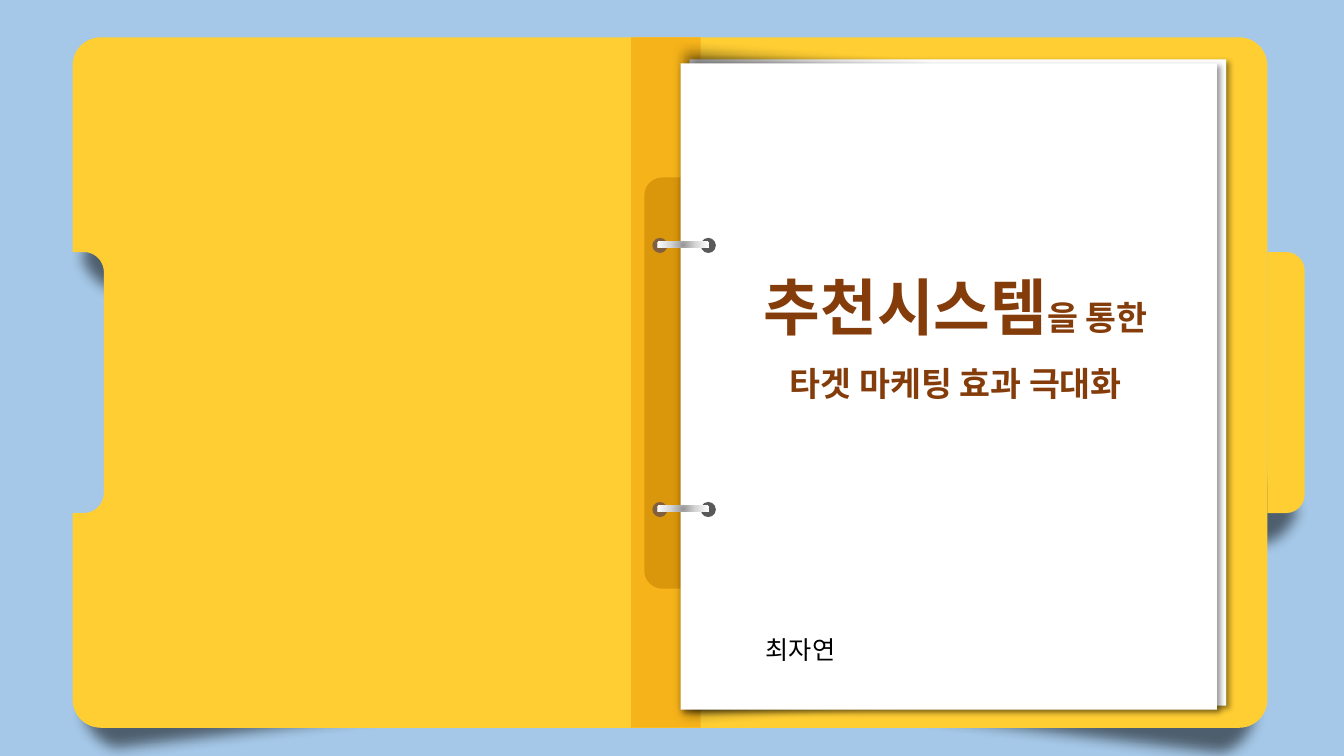
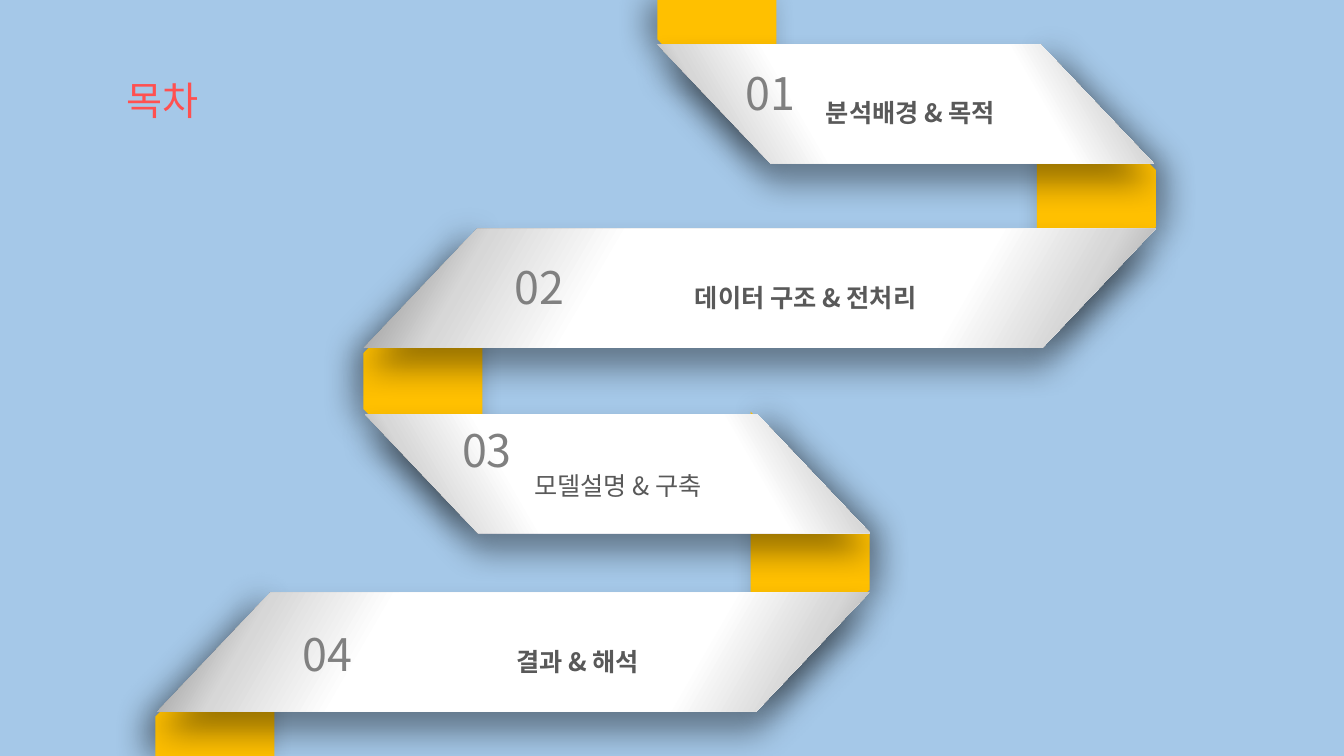
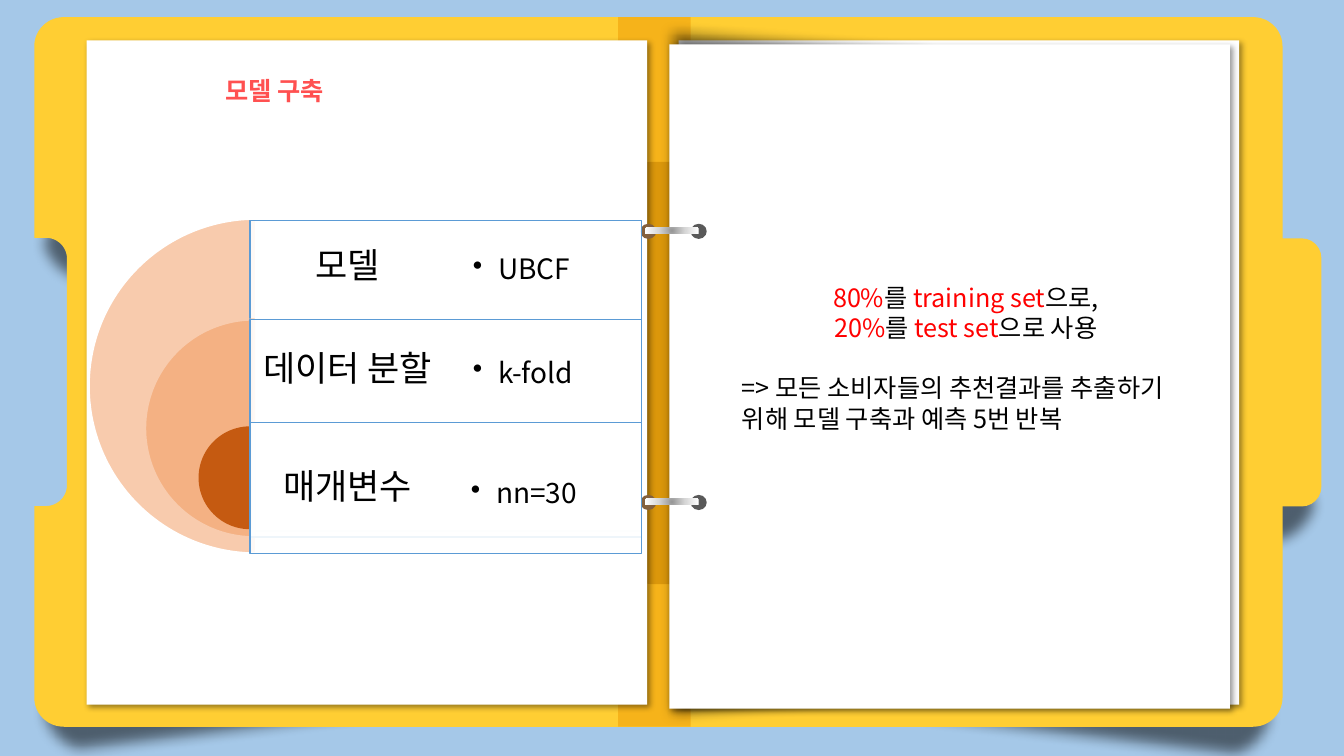
import math
from dataclasses import dataclass, replace
from typing import Any, Optional

import lxml.etree
import pptx
import pptx.dml.color
import pptx.enum.shapes
import pptx.enum.text
import pptx.oxml
import pptx.oxml.ns
import pptx.util

EMU_PER_PX = 9144  # 100 px to the inch
SHAPE = pptx.enum.shapes.MSO_SHAPE
ALIGN = pptx.enum.text.PP_ALIGN
ANCHOR = pptx.enum.text.MSO_ANCHOR
qn = pptx.oxml.ns.qn
Point = tuple[float, float]
Stops = tuple[tuple[int, str], ...]


@dataclass(frozen=True)
class Shadow:
    blur: int
    distance: int
    angle: int
    opacity: int = 40


@dataclass(frozen=True)
class Theme:
    font: str = "Noto Sans CJK KR"
    sky: str = "A5C8E8"
    folder: str = "FFCE33"
    spine: str = "F6B31A"
    clip: str = "DB970B"
    paper: str = "FFFFFF"
    hole: str = "595959"
    clip_hole: str = "83603D"
    band: str = "FFC000"
    black: str = "000000"
    brown: str = "843C0B"
    coral: str = "FF5050"
    red: str = "FF0000"
    number: str = "808080"
    label: str = "595959"
    frame: str = "5B9BD5"
    peach: str = "F8CBAD"
    apricot: str = "F4B183"
    rust: str = "C55A11"
    metal: Stops = ((0, "979797"), (50, "D7D7D7"), (100, "FFFFFF"))
    ribbon: Stops = ((4, "979797"), (15, "D7D7D7"), (31, "FFFFFF"), (50, "FFFFFF"),
                     (74, "FFFFFF"), (88, "D6D6D6"), (100, "959595"))
    sheet_shadow: Shadow = Shadow(4, 3, 45)
    band_right: Shadow = Shadow(23, 8, 350)
    band_left: Shadow = Shadow(23, 8, 180)
    ribbon_shadow: Shadow = Shadow(23, 14, 90)
    soft_edge: int = 10
    hero: int = 44
    number_size: int = 32
    heading: int = 28
    step: int = 25
    title: int = 24
    value: int = 20
    body: int = 18


THEME = Theme()


@dataclass(frozen=True)
class Box:
    left: int
    top: int
    width: int
    height: int


@dataclass(frozen=True)
class Part:
    box: Box
    kind: Any
    fill: str = ""
    adj: tuple[float, ...] = ()
    rotation: float = 0
    opacity: int = 100
    flip: str = ""
    soft: bool = False
    shadow: Optional[Shadow] = None
    line: str = ""
    line_width: float = 1
    stops: Stops = ()
    direction: str = ""


@dataclass(frozen=True)
class Run:
    text: str
    size: int
    color: str
    bold: bool = False


@dataclass(frozen=True)
class Para:
    runs: tuple[Run, ...]
    align: Any = ALIGN.CENTER
    spacing: float = 1.0
    before: float = 0
    bullet: bool = False


@dataclass(frozen=True)
class AgendaItem:
    number: str
    label: str
    ribbon: Box
    number_at: tuple[int, int]
    label_box: Box
    flip: str = ""
    bold: bool = True


@dataclass(frozen=True)
class ModelStep:
    name: str
    value: str
    pie: Box
    fill: str
    edge: str
    top: int
    height: int
    name_height: int
    value_at: tuple[int, int]


# ---- Drawing helpers ----
def emu(px: float) -> pptx.util.Emu:
    return pptx.util.Emu(round(px * EMU_PER_PX))


def rgb(color: str) -> pptx.dml.color.RGBColor:
    return pptx.dml.color.RGBColor.from_string(color)


def bounds(box: Box) -> tuple[pptx.util.Emu, ...]:
    return emu(box.left), emu(box.top), emu(box.width), emu(box.height)


def style(shape: Any, fill: str, shadow: Optional[Shadow] = None) -> None:
    """Plain fill without outline, with an optional shadow."""
    shape.fill.solid()
    shape.fill.fore_color.rgb = rgb(fill)
    shape.line.fill.background()
    shape.shadow.inherit = False
    if shadow:
        effects = shape._element.spPr.find(qn("a:effectLst"))
        outer = lxml.etree.SubElement(
            effects, qn("a:outerShdw"), blurRad=str(shadow.blur * 12700),
            dist=str(shadow.distance * 12700), dir=str(shadow.angle * 60000), rotWithShape="0")
        black = lxml.etree.SubElement(outer, qn("a:srgbClr"), val=THEME.black)
        lxml.etree.SubElement(black, qn("a:alpha"), val=str(shadow.opacity * 1000))


def add_gradient(shape: Any, stops: Stops, direction: str) -> None:
    listed = "".join(f'<a:gs pos="{pos * 1000}"><a:srgbClr val="{color}"/></a:gs>'
                     for pos, color in stops)
    gradient = pptx.oxml.parse_xml(
        '<a:gradFill xmlns:a="http://schemas.openxmlformats.org/drawingml/2006/main" '
        f'rotWithShape="1"><a:gsLst>{listed}</a:gsLst>{direction}</a:gradFill>')
    properties = shape._element.spPr
    properties.replace(properties.find(qn("a:solidFill")), gradient)


def draw(slide: Any, part: Part) -> None:
    shape = slide.shapes.add_shape(part.kind, *bounds(part.box))
    for index, value in enumerate(part.adj):
        shape.adjustments[index] = value
    shape.rotation = part.rotation
    style(shape, part.fill or THEME.paper, part.shadow)
    properties = shape._element.spPr
    if part.flip:
        properties.find(qn("a:xfrm")).set(part.flip, "1")
    if part.opacity < 100:
        color = properties.find(qn("a:solidFill"))[0]
        lxml.etree.SubElement(color, qn("a:alpha"), val=str(part.opacity * 1000))
    if part.soft:
        lxml.etree.SubElement(properties.find(qn("a:effectLst")), qn("a:softEdge"),
                              rad=str(THEME.soft_edge * 12700))
    if part.line:
        shape.line.color.rgb = rgb(part.line)
        shape.line.width = pptx.util.Pt(part.line_width)
    if part.stops:
        add_gradient(shape, part.stops, part.direction)


def draw_outline(slide: Any, points: list[Point], fill: str,
                 shadow: Optional[Shadow] = None) -> None:
    corners = [(emu(x), emu(y)) for x, y in points]
    builder = slide.shapes.build_freeform(*corners[0], scale=1.0)
    builder.add_line_segments(corners[1:], close=True)
    style(builder.convert_to_shape(), fill, shadow)


def write(slide: Any, box: Box, paras: list[Para], anchor: Any = ANCHOR.TOP,
          inset: tuple[int, int] = (10, 5)) -> None:
    frame = slide.shapes.add_textbox(*bounds(box)).text_frame
    frame.word_wrap = True
    frame.vertical_anchor = anchor
    frame.margin_left = frame.margin_right = emu(inset[0])
    frame.margin_top = frame.margin_bottom = emu(inset[1])
    for index, para in enumerate(paras):
        paragraph = frame.add_paragraph() if index else frame.paragraphs[0]
        paragraph.alignment = para.align
        paragraph.line_spacing = para.spacing
        paragraph.space_before = pptx.util.Pt(para.before)
        if para.bullet:
            properties = paragraph._p.get_or_add_pPr()
            properties.set("marL", str(emu(25)))
            properties.set("indent", str(emu(-25)))
            lxml.etree.SubElement(properties, qn("a:buChar"), char="•")
        for piece in para.runs:
            run = paragraph.add_run()
            run.text = piece.text
            run.font.name = THEME.font
            run.font.size = pptx.util.Pt(piece.size)
            run.font.bold = piece.bold
            run.font.color.rgb = rgb(piece.color)
            lxml.etree.SubElement(run._r.get_or_add_rPr(), qn("a:ea"), typeface=THEME.font)


# ---- Ring binder, drawn on one frame and fitted to another ----
BINDER = Box(72, 37, 1185, 685)


def arc(x: float, y: float, radius: float, start: int, end: int) -> list[Point]:
    steps = 12
    angles = [math.radians(start + (end - start) * i / steps) for i in range(steps + 1)]
    return [(x + radius * math.cos(a), y + radius * math.sin(a)) for a in angles]


def binder_outline() -> list[Point]:
    return [*arc(1229, 65, 28, 270, 360), *arc(1229, 694, 28, 0, 90),
            *arc(100, 694, 28, 90, 180), (72, 509),
            *arc(83, 489, 20, 90, 0), *arc(83, 270, 20, 0, -90),
            (72, 250), *arc(100, 65, 28, 180, 270)]


def cast(box: Box, rotation: float, adj: float, kind: Any = SHAPE.ROUNDED_RECTANGLE,
         flip: str = "") -> Part:
    return Part(box, kind, THEME.black, (adj,), rotation, opacity=53, flip=flip, soft=True)


def sheet(left: int, top: int) -> Part:
    return Part(Box(left, top, 532, 641), SHAPE.RECTANGLE, THEME.paper,
                shadow=THEME.sheet_shadow)


def ring(top: int) -> list[Part]:
    glow = ('<a:path path="circle"><a:fillToRect l="50000" t="50000" r="50000" b="50000"/>'
            '</a:path>')
    return [Part(Box(695, top, 15, 15), SHAPE.OVAL, THEME.hole),
            Part(Box(647, top, 15, 15), SHAPE.OVAL, THEME.clip_hole),
            Part(Box(652, top + 4, 51, 6), SHAPE.RECTANGLE, stops=THEME.metal, direction=glow)]


def draw_binder(slide: Any, target: Box, left_sheet: bool = False) -> None:
    across = target.width / BINDER.width
    down = target.height / BINDER.height

    def place(x: float, y: float) -> Point:
        return (target.left + (x - BINDER.left) * across, target.top + (y - BINDER.top) * down)

    def fit(part: Part) -> Part:
        box = part.box
        x, y = place(box.left + box.width / 2, box.top + box.height / 2)
        wide, high = (down, across) if part.rotation in (90, 270) else (across, down)
        width, height = box.width * wide, box.height * high
        return replace(part, box=Box(round(x - width / 2), round(y - height / 2),
                                     round(width), round(height)))

    under = [cast(Box(1187, 457, 115, 96), 15.3, 0.5),
             cast(Box(66, 206, 115, 96), 353.1, 0.5),
             cast(Box(875, 648, 384, 96), 6.9, 0.46, flip="flipH"),
             cast(Box(67, 643, 384, 96), 353.1, 0.46)]
    tab = SHAPE.ROUND_2_SAME_RECTANGLE
    over = [Part(Box(1146, 361, 259, 37), tab, THEME.folder, (0.5, 0), 90),
            Part(Box(626, 37, 69, 685), SHAPE.RECTANGLE, THEME.spine),
            Part(Box(453, 362, 408, 36), tab, THEME.clip, (0.5, 0), 270),
            sheet(684, 59),
            cast(Box(456, 247, 685, 266), 90, 0.08, SHAPE.TRAPEZOID),
            *([sheet(122, 59)] if left_sheet else []),
            sheet(675, 63), *ring(236), *ring(498)]
    for part in under:
        draw(slide, fit(part))
    draw_outline(slide, [place(x, y) for x, y in binder_outline()], THEME.folder)
    for part in over:
        draw(slide, fit(part))


# ---- Slides ----
def build_cover(slide: Any) -> None:
    draw_binder(slide, BINDER)
    write(slide, Box(703, 225, 490, 180), [
        Para((Run("추천시스템", THEME.hero, THEME.brown, True),
              Run("을 통한", THEME.title, THEME.brown, True)), spacing=1.5),
        Para((Run("타겟 마케팅 효과 극대화", THEME.title, THEME.brown, True),), spacing=1.5),
    ], ANCHOR.MIDDLE)
    write(slide, Box(700, 624, 188, 40), [Para((Run("최자연", THEME.body, THEME.black),))])


AGENDA = (
    AgendaItem("02", "데이터 구조 & 전처리", Box(361, 227, 785, 118), (482, 253),
               Box(593, 260, 412, 56)),
    AgendaItem("01", "분석배경 & 목적", Box(652, 44, 492, 118), (711, 60),
               Box(728, 77, 350, 56), "flipV"),
    AgendaItem("03", "모델설명 & 구축", Box(362, 411, 501, 118), (430, 414),
               Box(438, 447, 350, 56), "flipV", False),
    AgendaItem("04", "결과 & 해석", Box(156, 588, 706, 118), (272, 617),
               Box(367, 621, 412, 56)),
)


def build_agenda(slide: Any) -> None:
    # Yellow bands joining the ribbons
    for box in (Box(655, 498, 297, 118), Box(939, 138, 297, 118)):
        draw(slide, Part(box, SHAPE.TRAPEZOID, THEME.band, (1.02,), 90,
                         shadow=THEME.band_right))
    for ends in ([(652, 0), (770, 0), (770, 162), (652, 39)],
                 [(272, 588), (272, 750), (154, 750), (154, 711)]):
        draw_outline(slide, ends, THEME.band, THEME.band_left)
    draw(slide, Part(Box(269, 319, 301, 118), SHAPE.TRAPEZOID, THEME.band, (1.04,), 270,
                     shadow=THEME.band_left))
    # White ribbons
    for item in AGENDA:
        draw(slide, Part(item.ribbon, SHAPE.PARALLELOGRAM, adj=(0.95,), flip=item.flip,
                         shadow=THEME.ribbon_shadow, stops=THEME.ribbon,
                         direction='<a:lin ang="1800000" scaled="0"/>'))
    # Numbers and labels
    for item in AGENDA:
        write(slide, Box(*item.number_at, 106, 64),
              [Para((Run(item.number, THEME.number_size, THEME.number),))])
        write(slide, item.label_box,
              [Para((Run(item.label, THEME.body, THEME.label, item.bold),), spacing=1.5)])
    write(slide, Box(34, 71, 255, 57), [Para((Run("목차", THEME.heading, THEME.coral),))])


MODEL_STEPS = (
    ModelStep("모델", "UBCF", Box(88, 217, 332, 332), THEME.peach, THEME.paper,
              219, 308, 92, (442, 218)),
    ModelStep("데이터 분할", "k-fold", Box(144, 317, 216, 216), THEME.apricot, THEME.peach,
              317, 216, 100, (442, 321)),
    ModelStep("매개변수", "nn=30", Box(198, 424, 100, 100), THEME.rust, THEME.rust,
              419, 130, 130, (440, 441)),
)


def build_model(slide: Any) -> None:
    draw_binder(slide, Box(34, 17, 1238, 704), left_sheet=True)
    write(slide, Box(214, 70, 345, 40),
          [Para((Run("모델 구축", THEME.body, THEME.coral, True),), ALIGN.LEFT)])
    # Nested half circles with their rows
    for step in MODEL_STEPS:
        draw(slide, Part(step.pie, SHAPE.PIE, step.fill, (54, 162), line=step.edge,
                         line_width=1.5))
        draw(slide, Part(Box(248, step.top, 388, step.height), SHAPE.RECTANGLE, THEME.paper,
                         opacity=90, line=THEME.frame))
        write(slide, Box(248, step.top, 194, step.name_height),
              [Para((Run(step.name, THEME.step, THEME.black),), spacing=0.9)],
              ANCHOR.MIDDLE, (10, 10))
    for step in MODEL_STEPS:
        write(slide, Box(*step.value_at, 194, 100),
              [Para((Run(step.value, THEME.value, THEME.black),), ALIGN.LEFT, 0.9, bullet=True)],
              ANCHOR.MIDDLE, (27, 27))
    # Data split on the right page
    splits = (("80%", "training set", "으로,"), ("20%", "test set", "으로 사용"))
    paras = [Para((Run(share, THEME.body, THEME.red), Run("를 ", THEME.body, THEME.black),
                   Run(subset, THEME.body, THEME.red), Run(ending, THEME.body, THEME.black)))
             for share, subset, ending in splits]
    summary = "=> 모든 소비자들의 추천결과를 추출하기 위해 모델 구축과 예측 5번 반복"
    paras.append(Para((Run(summary, THEME.body, THEME.black),), ALIGN.LEFT, before=21.5))
    write(slide, Box(726, 275, 464, 162), paras)


def main() -> None:
    deck = pptx.Presentation()
    deck.slide_width, deck.slide_height = emu(1333), emu(750)
    sky = deck.slide_master.background.fill
    sky.solid()
    sky.fore_color.rgb = rgb(THEME.sky)
    for build in (build_cover, build_agenda, build_model):
        build(deck.slides.add_slide(deck.slide_layouts[6]))
    deck.save("out.pptx")


if __name__ == "__main__":
    main()
